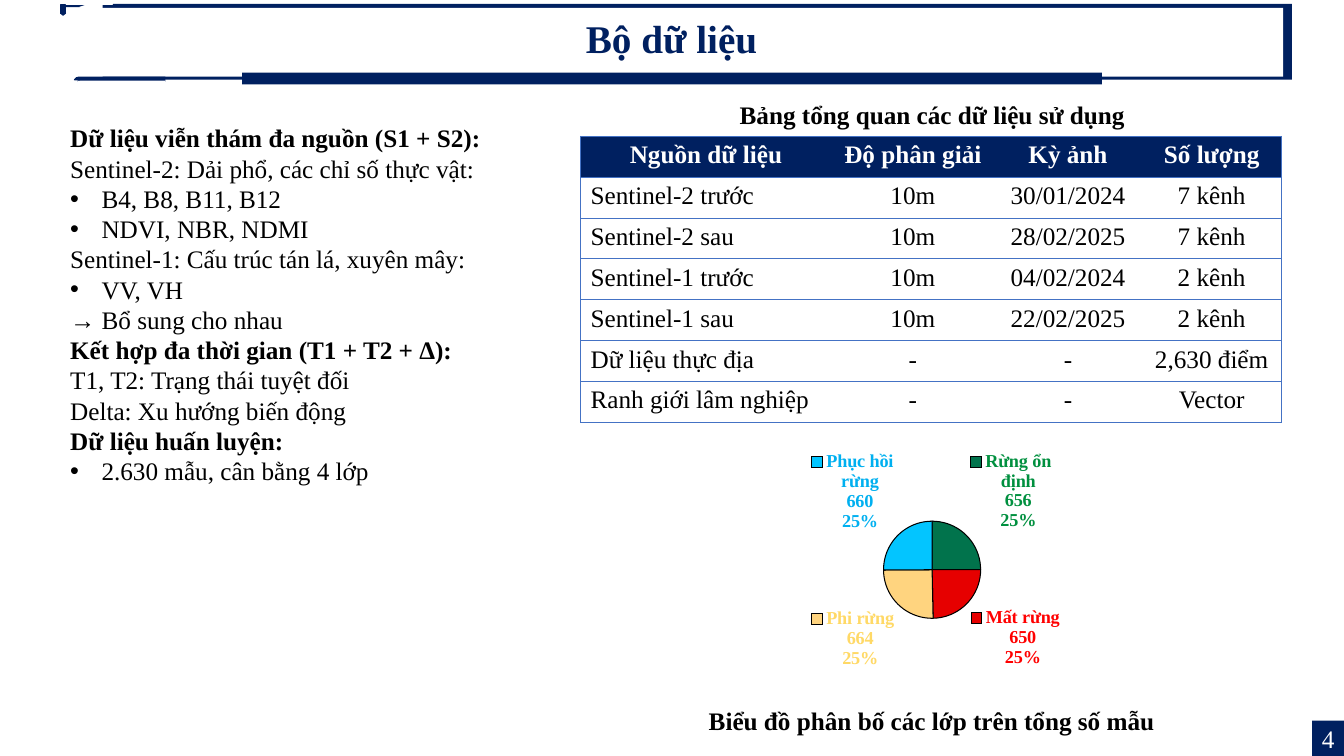
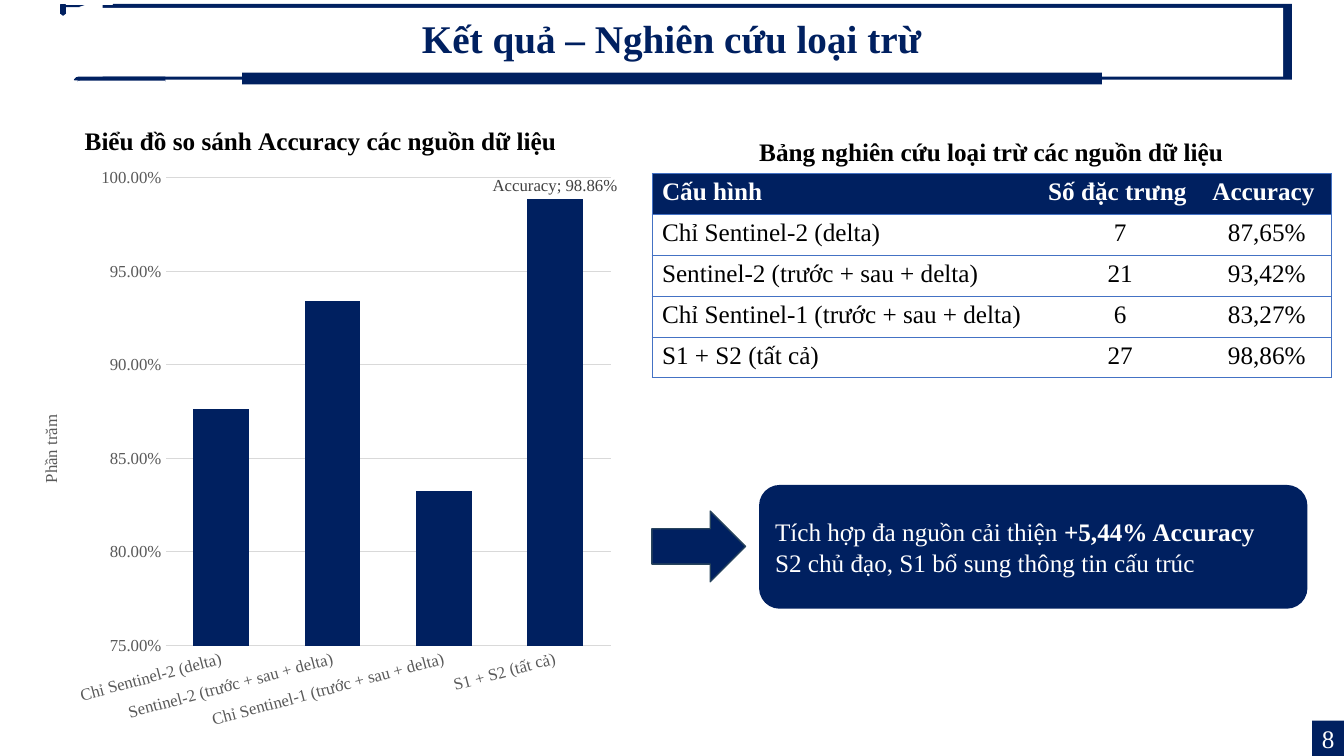
from lxml import etree
from pptx import Presentation
from pptx import util as u
from pptx.chart.data import CategoryChartData
from pptx.dml.color import RGBColor
from pptx.enum import chart as charts, shapes, text
from pptx.oxml.ns import qn

FONT = "Times New Roman"
COLORS = {
    "navy": "002060", "white": "FFFFFF", "black": "000000", "border": "4472C4",
    "arrow_line": "28445D", "axis_text": "595959", "label_text": "404040",
    "axis_line": "D9D9D9",
}
CENTER, LEFT = text.PP_ALIGN.CENTER, text.PP_ALIGN.LEFT
RECT = shapes.MSO_SHAPE.RECTANGLE
CLASSES = [  # name, samples, slice colour, label colour
    ("Rừng ổn định", 656, "01734C", "00903F"),
    ("Mất rừng", 650, "E60000", "FF0000"),
    ("Phi rừng", 664, "FFD47F", "FFD966"),
    ("Phục hồi rừng", 660, "03C5FF", "00B0F0"),
]
DATA_NOTES = [  # kind, text
    ("heading", "Dữ liệu viễn thám đa nguồn (S1 + S2):"),
    ("plain", "Sentinel-2: Dải phổ, các chỉ số thực vật:"),
    ("bullet", "B4, B8, B11, B12"),
    ("bullet", "NDVI, NBR, NDMI"),
    ("plain", "Sentinel-1: Cấu trúc tán lá, xuyên mây:"),
    ("bullet", "VV, VH"),
    ("plain", "→ Bổ sung cho nhau"),
    ("heading", "Kết hợp đa thời gian (T1 + T2 + Δ):"),
    ("plain", "T1, T2: Trạng thái tuyệt đối"),
    ("plain", "Delta: Xu hướng biến động"),
    ("heading", "Dữ liệu huấn luyện:"),
    ("bullet", "2.630 mẫu, cân bằng 4 lớp"),
]
SOURCES = [
    ["Nguồn dữ liệu", "Độ phân giải", "Kỳ ảnh", "Số lượng"],
    ["Sentinel-2 trước", "10m", "30/01/2024", "7 kênh"],
    ["Sentinel-2 sau", "10m", "28/02/2025", "7 kênh"],
    ["Sentinel-1 trước", "10m", "04/02/2024", "2 kênh"],
    ["Sentinel-1 sau", "10m", "22/02/2025", "2 kênh"],
    ["Dữ liệu thực địa", "-", "-", "2,630 điểm"],
    ["Ranh giới lâm nghiệp", "-", "-", "Vector"],
]
ABLATION = [
    ["Cấu hình", "Số đặc trưng", "Accuracy"],
    ["Chỉ Sentinel-2 (delta)", "7", "87,65%"],
    ["Sentinel-2 (trước + sau + delta)", "21", "93,42%"],
    ["Chỉ Sentinel-1 (trước + sau + delta)", "6", "83,27%"],
    ["S1 + S2 (tất cả)", "27", "98,86%"],
]
ACCURACIES = [0.8765, 0.9342, 0.8327, 0.9886]


def rgb(color):
    return RGBColor.from_string(COLORS.get(color, color))


def cm(*lengths):
    return [u.Cm(length) for length in lengths]


def style_font(font, size=18, color="black", bold=False):
    font.name, font.size, font.bold = FONT, u.Pt(size), bold
    font.color.rgb = rgb(color)


def write(frame, content, align=LEFT, **font):
    frame.text = content
    for paragraph in frame.paragraphs:
        paragraph.alignment = align
        for run in paragraph.runs:
            style_font(run.font, **font)


def paint(shape, fill, line=None):
    shape.shadow.inherit = False
    shape.fill.solid()
    shape.fill.fore_color.rgb = rgb(fill)
    if line:
        shape.line.color.rgb = rgb(line)
        shape.line.width = u.Pt(1)
    else:
        shape.line.fill.background()


def add_block(slide, box, fill="navy", line=None, kind=RECT):
    shape = slide.shapes.add_shape(kind, *cm(*box))
    paint(shape, fill, line)
    return shape


def add_polygon(slide, points):
    points = [cm(*point) for point in points]
    builder = slide.shapes.build_freeform(*points[0], scale=1.0)
    builder.add_line_segments(points[1:], close=True)
    paint(builder.convert_to_shape(), "navy", "navy")


def add_text(slide, box, content, wrap=True, **style):
    frame = slide.shapes.add_textbox(*cm(*box)).text_frame
    frame.word_wrap = wrap
    write(frame, content, **style)
    return frame


def add_caption(slide, box, content):
    add_text(slide, box, content, wrap=False, align=CENTER, bold=True)


def add_framed_slide(presentation, title, number):
    """Add a slide with the title frame and the page number."""
    slide = presentation.slides.add_slide(presentation.slide_layouts[6])
    add_block(slide, (2.59, 0.1, 29.97, 1.91))
    add_block(slide, (1.5, 0.2, 30.84, 1.73), "white")
    add_block(slide, (6.1, 1.83, 21.67, 0.3))
    add_block(slide, (1.96, 1.93, 2.21, 0.13))
    add_block(slide, (1.96, 2.03, 2.21, 0.13), "white")
    add_polygon(slide, [(1.93, 1.96), (2.01, 1.96), (2.01, 2.01), (1.88, 2.01)])
    add_block(slide, (1.6, 0.05, 0.41, 0.13))
    add_polygon(slide, [(2.01, 0.03), (2.36, 0.03), (2.01, 0.15)])
    add_block(slide, (1.19, 0.03, 1.63, 0.08), "white", "white")
    add_block(slide, (1.52, 0.13, 0.13, 0.2), line="navy")
    add_polygon(slide, [(1.53, 0.33), (1.65, 0.33), (1.59, 0.38)])

    heading = add_text(slide, (1.52, 0.25, 30.81, 1.55), title, align=CENTER,
                       size=28, color="navy", bold=True)
    heading.vertical_anchor = text.MSO_ANCHOR.MIDDLE
    heading.paragraphs[0].line_spacing = 0.9

    page = add_block(slide, (33.07, 18.16, 0.8, 0.89)).text_frame
    page.margin_left = page.margin_right = page.margin_top = page.margin_bottom = 0
    page.vertical_anchor = text.MSO_ANCHOR.MIDDLE
    write(page, str(number), CENTER, color="white")
    return slide


def add_bullet(paragraph):
    properties = paragraph._p.get_or_add_pPr()
    indent = u.Cm(0.79)
    properties.set("marL", str(indent))
    properties.set("indent", str(-indent))
    etree.SubElement(properties, qn("a:buFont")).set("typeface", "Arial")
    etree.SubElement(properties, qn("a:buChar")).set("char", "•")


def add_notes_list(slide, box, notes):
    frame = add_text(slide, box, "\n".join(content for _, content in notes))
    for paragraph, (kind, _) in zip(frame.paragraphs, notes):
        if kind == "bullet":
            add_bullet(paragraph)
        paragraph.runs[0].font.bold = kind == "heading"


def set_borders(cell, visible):
    """Draw the named sides (L, R, T, B) and hide the others."""
    properties = cell._tc.get_or_add_tcPr()
    for index, side in enumerate("LRTB"):
        line = etree.Element(qn(f"a:ln{side}"), w=str(u.Pt(0.5)))
        if side in visible:
            fill = etree.SubElement(line, qn("a:solidFill"))
            etree.SubElement(fill, qn("a:srgbClr")).set("val", COLORS["border"])
        else:
            etree.SubElement(line, qn("a:noFill"))
        properties.insert(index, line)


def add_data_table(slide, left, top, widths, rows, header_align):
    row_height = 1.03
    table = slide.shapes.add_table(
        len(rows), len(widths),
        *cm(left, top, sum(widths), row_height * len(rows))).table
    table.horz_banding = False
    for column, width in zip(table.columns, widths):
        column.width = u.Cm(width)
    last = len(widths) - 1
    for r, values in enumerate(rows):
        table.rows[r].height = u.Cm(row_height)
        for c, value in enumerate(values):
            cell = table.cell(r, c)
            if r == 0:
                cell.fill.solid()
                cell.fill.fore_color.rgb = rgb("navy")
                write(cell.text_frame, value, header_align, color="white", bold=True)
            else:
                cell.fill.background()
                write(cell.text_frame, value, CENTER if c else LEFT)
            set_borders(cell, "TB" + "L" * (c == 0) + "R" * (c == last))


def place(chart, query, **fractions):
    """Fix the position of a chart part as fractions of the chart."""
    part = chart.element.xpath(query)[0]
    for old in part.findall(qn("c:layout")):
        part.remove(old)
    layout = etree.Element(qn("c:layout"))
    manual = etree.SubElement(layout, qn("c:manualLayout"))
    settings = {"xMode": "edge", "yMode": "edge", **fractions}
    if "w" in fractions:
        settings = {"layoutTarget": "inner", **settings}
    for name, value in settings.items():
        etree.SubElement(manual, qn(f"c:{name}")).set("val", str(value))
    part.insert(0 if part.find(qn("c:tx")) is None else 1, layout)


def show_in_labels(chart, parts, separator):
    for label in chart.element.xpath(".//c:dLbl"):
        for part in parts:
            label.find(qn(f"c:show{part}")).set("val", "1")
        etree.SubElement(label, qn("c:separator")).text = separator


def add_chart(slide, kind, box, data):
    chart = slide.shapes.add_chart(kind, *cm(*box), data).chart
    style_font(chart.font, size=10)
    chart.has_legend = False
    chart.has_title = False
    return chart


def label_point(point, **font):
    label = point.data_label
    style_font(label.font, **font)
    label.position = charts.XL_LABEL_POSITION.OUTSIDE_END


def add_class_pie(slide, box):
    data = CategoryChartData()
    data.categories = [name for name, *_ in CLASSES]
    data.add_series("Series 1", [samples for _, samples, *_ in CLASSES])
    chart = add_chart(slide, charts.XL_CHART_TYPE.PIE, box, data)
    plot = chart.plots[0]
    plot.vary_by_categories = True
    for index, (_, _, fill, label_color) in enumerate(CLASSES):
        point = plot.series[0].points[index]
        point.format.fill.solid()
        point.format.fill.fore_color.rgb = rgb(fill)
        point.format.line.color.rgb = rgb("black")
        point.format.line.width = u.Pt(0.75)
        label_point(point, size=13, color=label_color, bold=True)
    show_in_labels(chart, ["LegendKey", "CatName", "Percent"], "\n")
    place(chart, "c:chart/c:plotArea", x=0.4, y=0.32, w=0.2, h=0.37)


def add_accuracy_chart(slide, box):
    data = CategoryChartData(number_format="0.00%")
    data.categories = [row[0] for row in ABLATION[1:]]
    data.add_series("Accuracy", ACCURACIES)
    chart = add_chart(slide, charts.XL_CHART_TYPE.COLUMN_CLUSTERED, box, data)
    write(chart.chart_title.text_frame, "Biểu đồ so sánh Accuracy các nguồn dữ liệu",
          CENTER, bold=True)
    plot = chart.plots[0]
    plot.vary_by_categories = False
    plot.gap_width, plot.overlap = 100, -24
    series = plot.series[0]
    series.format.fill.solid()
    series.format.fill.fore_color.rgb = rgb("navy")
    label_point(series.points[len(ACCURACIES) - 1], size=12, color="label_text")
    series.data_labels.show_value = False
    show_in_labels(chart, ["SerName"], "; ")

    categories, values = chart.category_axis, chart.value_axis
    for axis in (categories, values):
        style_font(axis.tick_labels.font, size=12, color="axis_text")
        axis.major_tick_mark = axis.minor_tick_mark = charts.XL_TICK_MARK.NONE
    categories.format.line.color.rgb = rgb("axis_line")
    categories.format.line.width = u.Pt(1)
    chart.element.xpath(".//c:catAx/c:txPr/a:bodyPr")[0].set("rot", str(-15 * 60000))
    values.minimum_scale, values.maximum_scale, values.major_unit = 0.75, 1, 0.05
    values.tick_labels.number_format = "0.00%"
    values.tick_labels.number_format_is_linked = False
    values.format.line.fill.background()
    values.major_gridlines.format.line.color.rgb = rgb("axis_line")
    values.major_gridlines.format.line.width = u.Pt(0.75)
    title_frame = values.axis_title.text_frame
    write(title_frame, "Phần trăm", CENTER, size=12, color="axis_text")
    title_body = chart.element.xpath(".//c:valAx/c:title//a:bodyPr")[0]
    title_body.set("rot", str(-90 * 60000))
    title_body.set("vert", "horz")

    place(chart, "c:chart/c:title", x=0.11, y=0.03)
    place(chart, ".//c:valAx/c:title", x=0.04, y=0.49)
    place(chart, "c:chart/c:plotArea", x=0.25, y=0.12, w=0.73, h=0.74)


def add_callout(slide, box):
    frame = add_block(slide, box, kind=shapes.MSO_SHAPE.ROUNDED_RECTANGLE).text_frame
    frame.word_wrap = True
    frame.vertical_anchor = text.MSO_ANCHOR.MIDDLE
    write(frame, "Tích hợp đa nguồn cải thiện \nS2 chủ đạo, S1 bổ sung thông tin cấu trúc",
          color="white")
    gain = frame.paragraphs[0].add_run()
    gain.text = "+5,44% Accuracy"
    style_font(gain.font, color="white", bold=True)


def main():
    presentation = Presentation()
    presentation.slide_width, presentation.slide_height = cm(33.87, 19.05)

    slide = add_framed_slide(presentation, "Bộ dữ liệu", 4)
    add_notes_list(slide, (1.52, 2.97, 12.67, 9.5), DATA_NOTES)
    add_caption(slide, (18.34, 2.39, 10.31, 1.02), "Bảng tổng quan các dữ liệu sử dụng")
    add_data_table(slide, 14.63, 3.43, [6.32, 4.11, 3.71, 3.53], SOURCES, CENTER)
    add_class_pie(slide, (17.37, 10.92, 12.24, 6.81))
    add_caption(slide, (17.55, 17.65, 11.86, 1.02),
                "Biểu đồ phân bố các lớp trên tổng số mẫu")

    slide = add_framed_slide(presentation, "Kết quả – Nghiên cứu loại trừ", 8)
    add_accuracy_chart(slide, (0.33, 2.57, 15.37, 15.93))
    add_caption(slide, (18.82, 3.3, 12.32, 1.02),
                "Bảng nghiên cứu loại trừ các nguồn dữ liệu")
    add_data_table(slide, 16.43, 4.37, [9.73, 4.14, 3.25], ABLATION, LEFT)
    add_block(slide, (16.43, 12.88, 2.36, 1.78), line="arrow_line",
              kind=shapes.MSO_SHAPE.RIGHT_ARROW)
    add_callout(slide, (19.13, 12.22, 13.82, 3.12))

    presentation.save("out.pptx")


if __name__ == "__main__":
    main()
